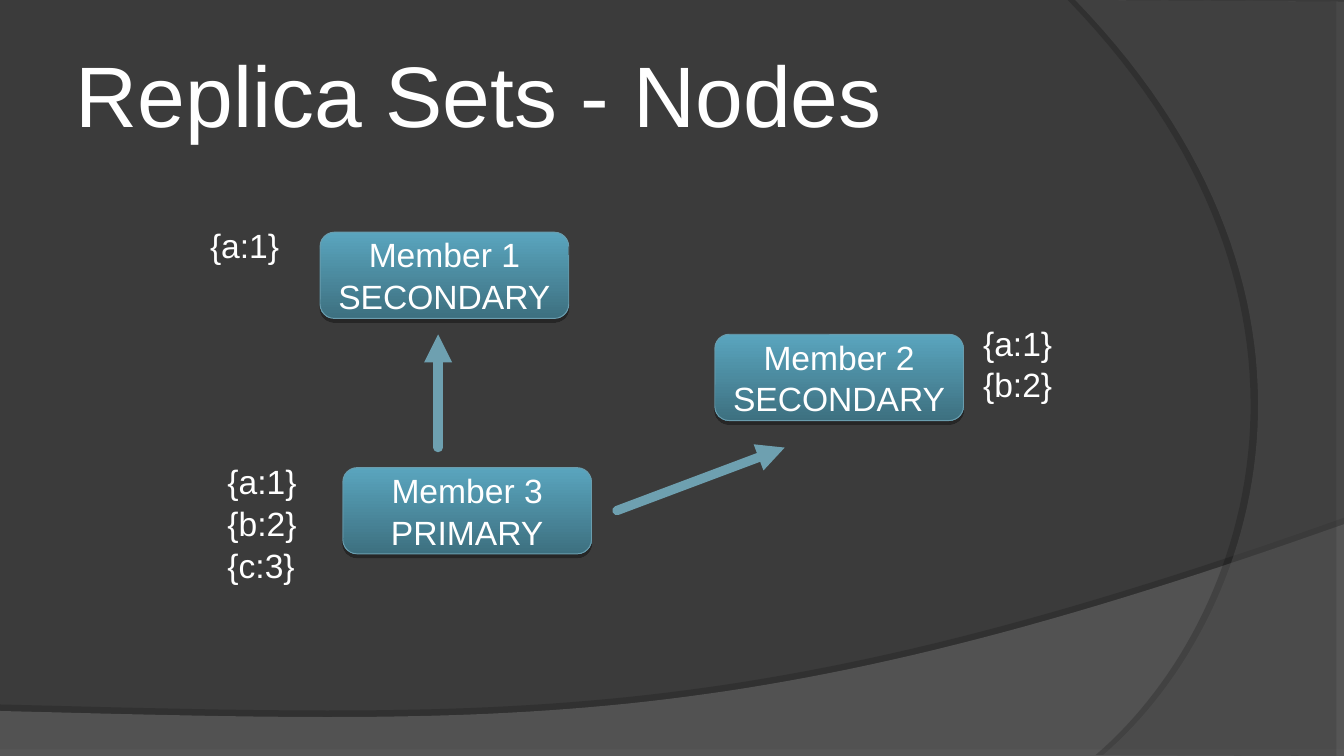
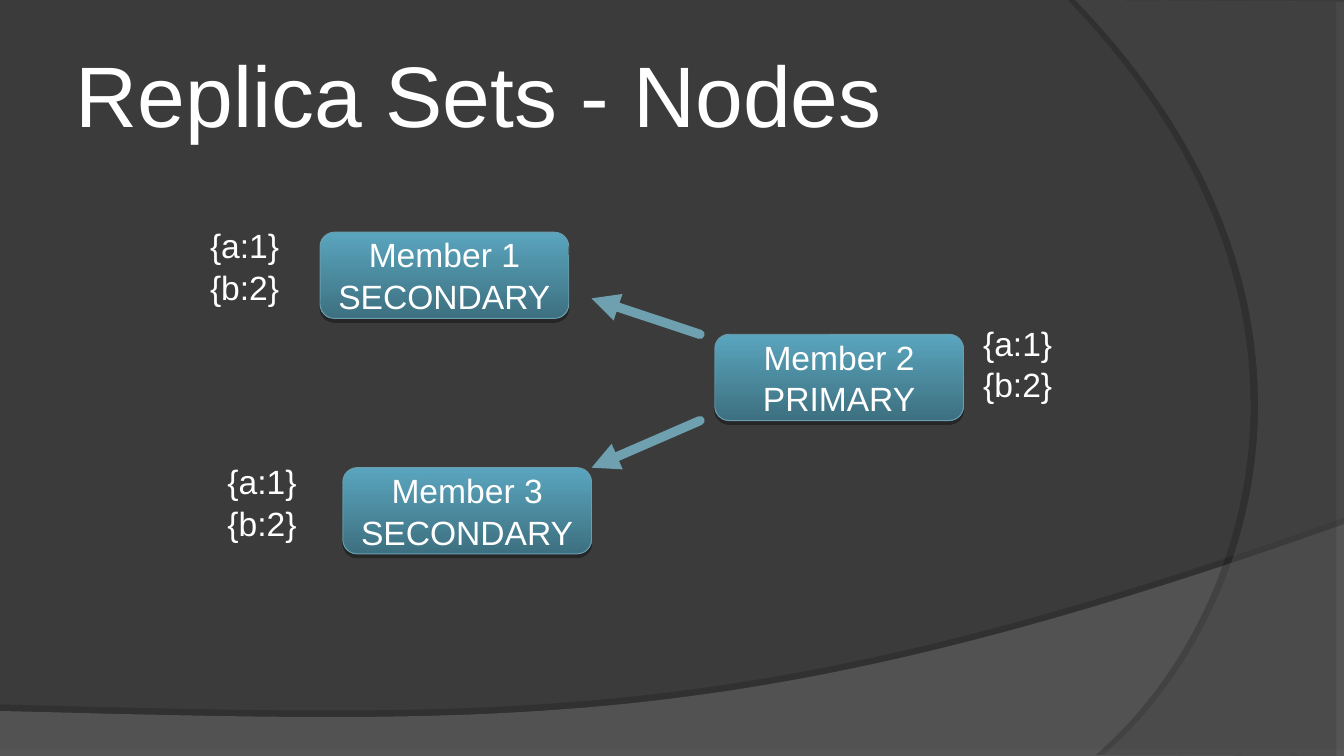
from lxml.etree import SubElement
from pptx import Presentation
from pptx.dml.color import RGBColor
from pptx.enum.shapes import MSO_CONNECTOR as Connector, MSO_SHAPE as Preset
from pptx.enum.text import MSO_ANCHOR as Anchor, PP_ALIGN as Align
from pptx.oxml.ns import qn
from pptx.util import Cm, Pt

FONT = "Arial"
COLORS = {
    "background": "3B3B3B",
    "sweep": "7B7B7B",
    "arc": "5A5A5A",
    "text": "FFFFFF",
    "member_top": "5AA5BE",
    "member_bottom": "3D7080",
    "member_border": "6A9DAE",
    "arrow": "6EA0B0",
    "shadow": "000000",
}
SLIDE_WIDTH, SLIDE_HEIGHT = 25.4, 14.29
MEMBER_WIDTH, MEMBER_HEIGHT = 4.7, 1.63
MEMBER_PLACES = {1: (6.05, 4.39), 2: (13.51, 6.32), 3: (6.48, 8.84)}
DOCUMENT_PLACES = {1: (3.81, 4.09), 2: (18.42, 5.94), 3: (4.14, 8.56)}
DOCUMENTS = ["{a:1}", "{b:2}", "{c:3}"]

REPLICA_SETS = [
    {
        "primary": 3,
        "document_counts": {1: 1, 2: 2, 3: 3},
        "arrows": [((8.28, 8.46), (8.28, 6.32)), ((11.66, 9.65), (14.83, 8.46))],
    },
    {
        "primary": 2,
        "document_counts": {1: 2, 2: 2, 3: 2},
        "arrows": [((13.23, 6.32), (11.18, 5.64)), ((13.23, 7.95), (11.18, 8.84))],
    },
]


def color(name):
    return RGBColor.from_string(COLORS[name])


def write_text(shape, text, size=18, align=Align.LEFT, anchor=Anchor.TOP, space_before=0.75):
    frame = shape.text_frame
    frame.word_wrap = True
    frame.vertical_anchor = anchor
    frame.margin_left = frame.margin_right = Cm(0.16)
    frame.margin_top = frame.margin_bottom = Cm(0.16)
    frame.text = text
    for paragraph in frame.paragraphs:
        paragraph.alignment = align
        paragraph.space_before = Pt(space_before)
        paragraph.font.name = FONT
        paragraph.font.size = Pt(size)
        paragraph.font.color.rgb = color("text")


def add_text(slide, text, left, top, width, height, **text_format):
    box = slide.shapes.add_textbox(Cm(left), Cm(top), Cm(width), Cm(height))
    write_text(box, text, **text_format)


def set_alpha(parent, percent):
    SubElement(parent, qn("a:alpha"), val=str(percent * 1000))


def add_shadow(shape, distance, degrees, shadow_opacity):
    shape.shadow.inherit = False
    effects = shape._element.spPr.find(qn("a:effectLst"))
    shadow = SubElement(
        effects, qn("a:outerShdw"), dist=str(Pt(distance)), dir=str(degrees * 60000), rotWithShape="0"
    )
    set_alpha(SubElement(shadow, qn("a:srgbClr"), val=COLORS["shadow"]), shadow_opacity)


def curve_points(start, control_1, control_2, end, steps=60):
    points = []
    corners = list(zip(start, control_1, control_2, end))
    for step in range(steps + 1):
        t = step / steps
        weights = ((1 - t) ** 3, 3 * t * (1 - t) ** 2, 3 * t**2 * (1 - t), t**3)
        points.append(tuple(sum(w * c for w, c in zip(weights, axis)) for axis in corners))
    return points


def add_band(slide, points, fill, opacity, **shadow):
    start, *others = [(Cm(x), Cm(y)) for x, y in points]
    builder = slide.shapes.build_freeform(*start)
    builder.add_line_segments(others, close=True)
    band = builder.convert_to_shape()
    band.fill.solid()
    band.fill.fore_color.rgb = color(fill)
    set_alpha(band._element.spPr.find(qn("a:solidFill"))[0], opacity)
    band.line.fill.background()
    add_shadow(band, **shadow)


def add_backdrop(slide):
    slide.background.fill.solid()
    slide.background.fill.fore_color.rgb = color("background")
    sweep = curve_points((SLIDE_WIDTH, 9.91), (14.2, 13.89), (9.93, 13.69), (0, 13.44))
    add_band(
        slide, [(0, SLIDE_HEIGHT), (SLIDE_WIDTH, SLIDE_HEIGHT), *sweep],
        "sweep", 45, distance=3.5, degrees=270, shadow_opacity=35,
    )
    arc = curve_points((20.85, 14.27), (23.75, 11.79), (25.86, 5.72), (20.32, 0))
    add_band(
        slide, [(SLIDE_WIDTH, 0.03), (SLIDE_WIDTH, SLIDE_HEIGHT), *arc],
        "arc", 40, distance=4, degrees=180, shadow_opacity=45,
    )


def add_member(slide, number, role):
    left, top = MEMBER_PLACES[number]
    member = slide.shapes.add_shape(
        Preset.ROUNDED_RECTANGLE, Cm(left), Cm(top), Cm(MEMBER_WIDTH), Cm(MEMBER_HEIGHT)
    )
    member.fill.gradient()
    member.fill.gradient_angle = 270
    for stop, name in zip(member.fill.gradient_stops, ("member_top", "member_bottom")):
        stop.color.rgb = color(name)
    member.line.color.rgb = color("member_border")
    member.line.width = Pt(0.5)
    add_shadow(member, distance=2, degrees=90, shadow_opacity=35)
    write_text(member, f"Member {number}\n{role}", align=Align.CENTER, anchor=Anchor.MIDDLE)


def add_arrow(slide, start, end):
    ends = [Cm(value) for value in (*start, *end)]
    arrow = slide.shapes.add_connector(Connector.STRAIGHT, *ends)
    arrow.line.color.rgb = color("arrow")
    arrow.line.width = Pt(5)
    properties = arrow._element.spPr
    line = properties.find(qn("a:ln"))
    line.set("cap", "rnd")
    SubElement(line, qn("a:tailEnd"), type="triangle")
    SubElement(properties, qn("a:effectLst"))


def add_documents(slide, number, count):
    left, top = DOCUMENT_PLACES[number]
    add_text(slide, "\n".join(DOCUMENTS[:count]), left, top, 2.24, 1.02 + 0.77 * (count - 1))


def add_replica_set(slide, primary, document_counts, arrows):
    for number in MEMBER_PLACES:
        add_member(slide, number, "PRIMARY" if number == primary else "SECONDARY")
    for start, end in arrows:
        add_arrow(slide, start, end)
    for number, count in document_counts.items():
        add_documents(slide, number, count)


def main():
    presentation = Presentation()
    presentation.slide_width = Cm(SLIDE_WIDTH)
    presentation.slide_height = Cm(SLIDE_HEIGHT)
    for replica_set in REPLICA_SETS:
        slide = presentation.slides.add_slide(presentation.slide_layouts[6])
        add_backdrop(slide)
        add_text(
            slide, "Replica Sets - Nodes", 1.27, 0.56, 20.75, 2.39,
            size=46, anchor=Anchor.MIDDLE, space_before=0,
        )
        add_replica_set(slide, **replica_set)
    presentation.save("out.pptx")


if __name__ == "__main__":
    main()
